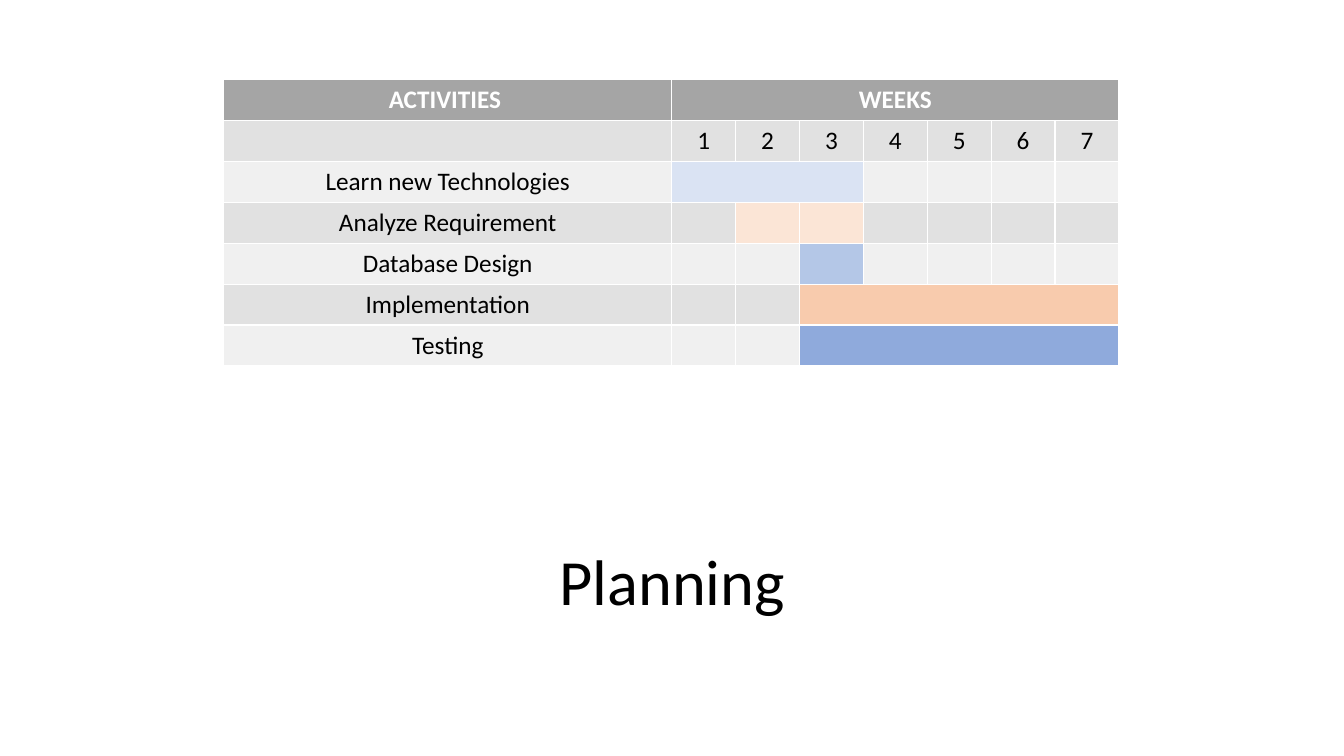
from dataclasses import dataclass

from pptx import Presentation
from pptx.dml.color import RGBColor as RGB
from pptx.enum.text import MSO_ANCHOR, MSO_AUTO_SIZE, PP_ALIGN
from pptx.util import Cm, Pt


@dataclass(frozen=True)
class Theme:
    font: str = "Calibri"
    title_size: float = 46
    table_size: float = 18
    text: str = "000000"
    header_text: str = "FFFFFF"
    header: str = "A5A5A5"
    bands: tuple = ("F0F0F0", "E1E1E1")
    light_blue: str = "DAE3F3"
    light_orange: str = "FBE5D6"
    blue: str = "B4C7E7"
    orange: str = "F8CBAD"
    dark_blue: str = "8FAADC"


theme = Theme()
WEEKS = 7

# Activity, first week, last week, colour, whether the weeks form one cell
ACTIVITIES = [
    ("Learn new Technologies", 1, 3, theme.light_blue, True),
    ("Analyze Requirement", 2, 3, theme.light_orange, False),
    ("Database Design", 3, 3, theme.blue, False),
    ("Implementation", 3, 7, theme.orange, True),
    ("Testing", 3, 7, theme.dark_blue, True),
]


def write(tf, text, size=theme.table_size, color=theme.text, bold=False):
    p = tf.paragraphs[0]
    p.alignment = PP_ALIGN.CENTER
    r = p.add_run()
    r.text = text
    r.font.name = theme.font
    r.font.size = Pt(size)
    r.font.bold = bold
    r.font.color.rgb = RGB.from_string(color)


def fill(cell, color):
    cell.fill.solid()
    cell.fill.fore_color.rgb = RGB.from_string(color)


prs = Presentation()
prs.slide_width, prs.slide_height = Cm(33.87), Cm(19.05)
s = prs.slides.add_slide(prs.slide_layouts[5])

# Title below the table, growing upwards from its bottom edge
title = s.shapes.title
title.left, title.top, title.width, title.height = Cm(4.24), Cm(15.34), Cm(25.4), Cm(0.28)
tf = title.text_frame
tf.auto_size = MSO_AUTO_SIZE.NONE
tf.vertical_anchor = MSO_ANCHOR.BOTTOM
tf.margin_top = tf.margin_bottom = 0
write(tf, "Planning", size=theme.title_size)
tf.paragraphs[0].line_spacing = 0.9

# Schedule grid
n_rows = len(ACTIVITIES) + 2
table = s.shapes.add_table(n_rows, WEEKS + 1, Cm(5.64), Cm(2.01),
                           Cm(22.56), Cm(1.03 * n_rows)).table
table.columns[0].width = Cm(11.29)
for week in range(1, WEEKS + 1):
    table.columns[week].width = Cm(1.61)
for i, row in enumerate(table.rows):
    row.height = Cm(1.03)
    for cell in row.cells:
        fill(cell, theme.bands[i % 2] if i else theme.header)

# Headings
table.cell(0, 1).merge(table.cell(0, WEEKS))
for col, heading in enumerate(("ACTIVITIES ", "WEEKS")):
    write(table.cell(0, col).text_frame, heading, color=theme.header_text, bold=True)
for week in range(1, WEEKS + 1):
    write(table.cell(1, week).text_frame, str(week))

# Activities and their weeks
for row, (activity, first, last, color, joined) in enumerate(ACTIVITIES, start=2):
    write(table.cell(row, 0).text_frame, activity)
    for week in range(first, last + 1):
        fill(table.cell(row, week), color)
    if joined:
        table.cell(row, first).merge(table.cell(row, last))

prs.save("out.pptx")
